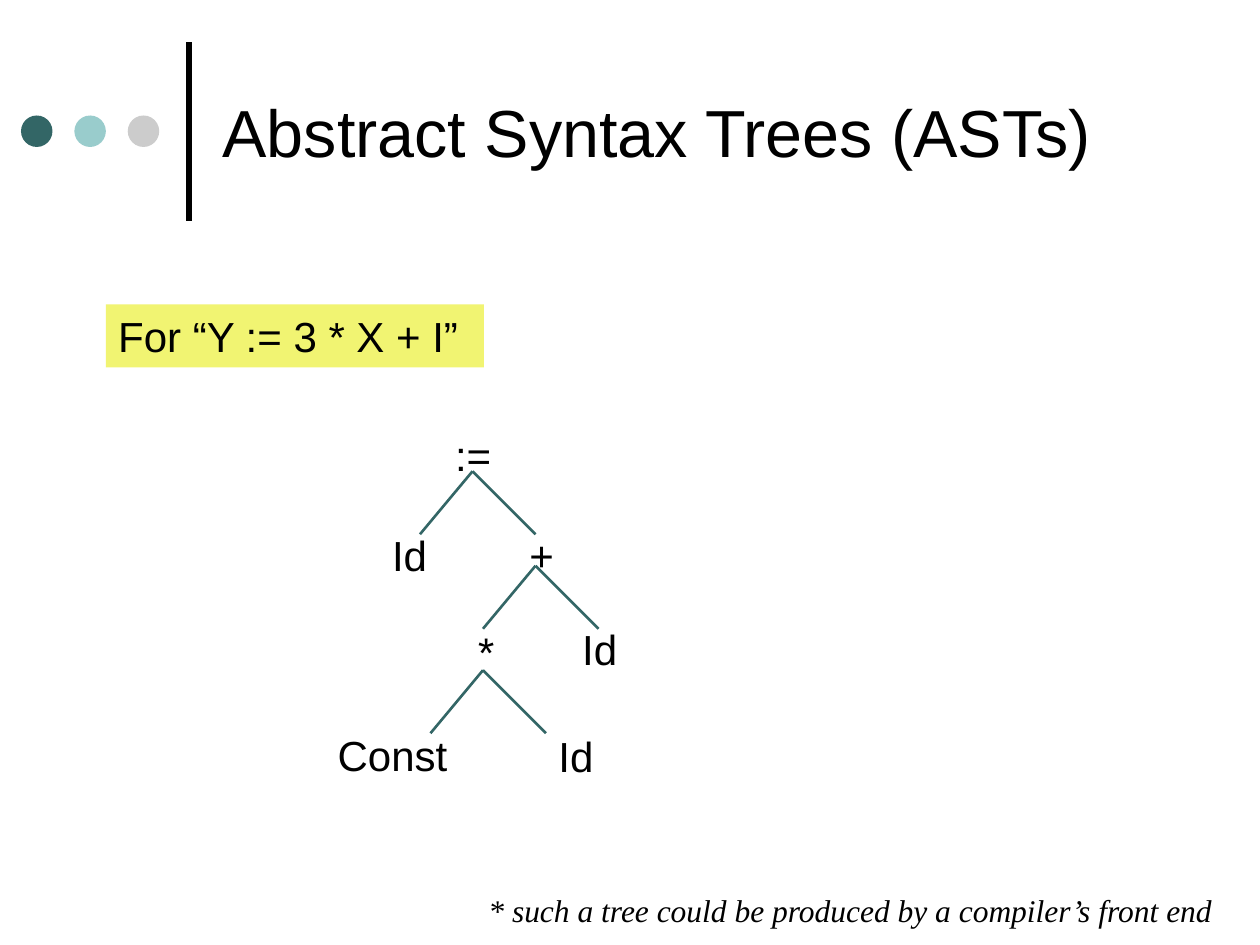
from dataclasses import dataclass

from lxml.etree import SubElement
from pptx import Presentation
from pptx.dml.color import RGBColor
from pptx.enum.shapes import MSO_CONNECTOR, MSO_SHAPE
from pptx.enum.text import MSO_ANCHOR, PP_ALIGN
from pptx.oxml.ns import qn
from pptx.util import Pt


@dataclass(frozen=True)
class Theme:
    """Colours, fonts and type sizes of the slide."""
    ink: str = "000000"
    teal: str = "336666"
    aqua: str = "99CCCC"
    silver: str = "CCCCCC"
    highlight: str = "F1F472"
    sans: str = "Arial"
    mono: str = "Courier New"
    serif: str = "Times New Roman"
    title_size: int = 38
    body_size: int = 24
    note_size: int = 18


THEME = Theme()

# text, left, top, width, font
NODES = [
    (":=", 252.7, 241.9, 35.3, THEME.sans),
    ("Id", 216.7, 298.8, 34.6, THEME.sans),
    ("+", 295.2, 298.8, 28.8, THEME.sans),
    ("*", 263.5, 355, 28.8, THEME.mono),
    ("Id", 325.4, 352.8, 34.6, THEME.sans),
    ("Const", 185.8, 413.3, 77, THEME.sans),
    ("Id", 311.8, 414, 34.6, THEME.sans),
]
NODE_HEIGHT = 36

FORKS = [(270, 269.3), (306, 323.3), (276, 383)]
BRANCH_REACHES = (-30, 36)
BRANCH_DROP = 36


def add_text(slide, text, box, size, font=THEME.sans, align=PP_ALIGN.CENTER,
             anchor=MSO_ANCHOR.TOP, wrap=False, italic=None, fill=None):
    """Add one line of text in a box given as left, top, width, height."""
    label = slide.shapes.add_textbox(*map(Pt, box))
    if fill:
        label.fill.solid()
        label.fill.fore_color.rgb = RGBColor.from_string(fill)
    frame = label.text_frame
    frame.word_wrap = wrap
    frame.vertical_anchor = anchor
    paragraph = frame.paragraphs[0]
    paragraph.text = text
    paragraph.alignment = align
    paragraph.font.name = font
    paragraph.font.size = Pt(size)
    paragraph.font.italic = italic
    paragraph.font.color.rgb = RGBColor.from_string(THEME.ink)


def add_line(slide, start, end, color, weight):
    """Add a straight line without a shadow."""
    line = slide.shapes.add_connector(
        MSO_CONNECTOR.STRAIGHT, *map(Pt, (*start, *end)))
    line.line.color.rgb = RGBColor.from_string(color)
    line.line.width = Pt(weight)
    SubElement(line._element.spPr, qn("a:effectLst"))


def add_dot(slide, left, top, diameter, color):
    """Add a filled circle without an outline."""
    dot = slide.shapes.add_shape(
        MSO_SHAPE.OVAL, *map(Pt, (left, top, diameter, diameter)))
    dot.shadow.inherit = False
    dot.fill.solid()
    dot.fill.fore_color.rgb = RGBColor.from_string(color)
    dot.line.fill.background()


def add_header(slide):
    """Add the rule, the three dots and the title."""
    add_line(slide, (108, 126), (108, 24), THEME.ink, 3)
    for index, color in enumerate((THEME.teal, THEME.aqua, THEME.silver)):
        add_dot(slide, 12 + 30.5 * index, 66, 18, color)
    add_text(slide, "Abstract Syntax Trees (ASTs)", (120, 15, 552, 120),
             THEME.title_size, align=PP_ALIGN.LEFT,
             anchor=MSO_ANCHOR.MIDDLE, wrap=True)


def add_tree(slide):
    """Add the syntax tree: its nodes, then two branches at each fork."""
    for text, left, top, width, font in NODES:
        add_text(slide, text, (left, top, width, NODE_HEIGHT),
                 THEME.body_size, font)
    for x, y in FORKS:
        for reach in BRANCH_REACHES:
            add_line(slide, (x, y), (x + reach, y + BRANCH_DROP),
                     THEME.teal, 1.5)


def main():
    """Build the slide and save it."""
    presentation = Presentation()
    presentation.slide_width = Pt(720)
    presentation.slide_height = Pt(540)
    slide = presentation.slides.add_slide(presentation.slide_layouts[6])
    add_header(slide)
    add_tree(slide)
    add_text(slide, "For “Y := 3 * X + I” ", (60.5, 174, 216, 36),
             THEME.body_size, align=PP_ALIGN.LEFT, wrap=True,
             fill=THEME.highlight)
    add_text(slide, "* such a tree could be produced by a compiler’s front end",
             (260, 505.5, 452, 28.8), THEME.note_size, THEME.serif,
             italic=True)
    presentation.save("out.pptx")


main()
